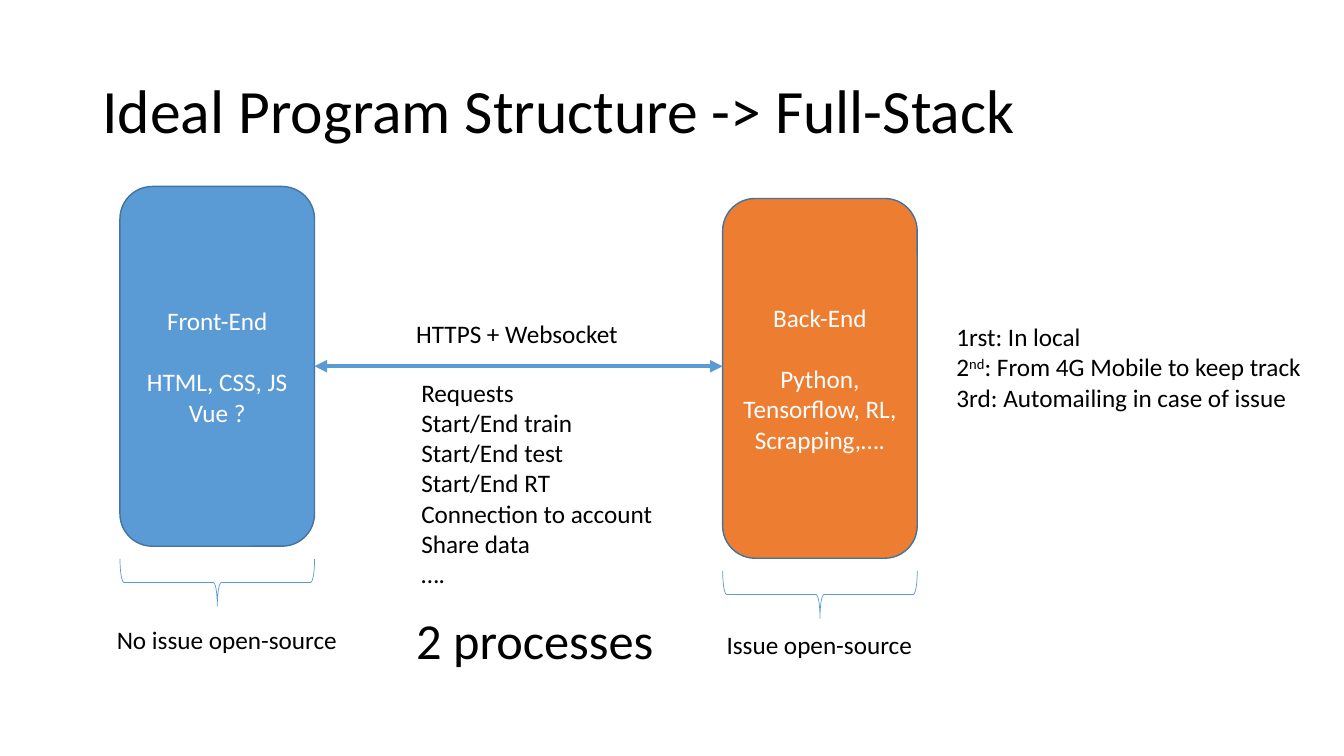
from dataclasses import dataclass

from lxml.etree import SubElement
from pptx import Presentation
from pptx.dml.color import RGBColor
from pptx.enum.shapes import MSO_CONNECTOR as Connector, MSO_SHAPE as Shape
from pptx.enum.text import MSO_ANCHOR as Anchor, MSO_AUTO_SIZE as AutoSize, PP_ALIGN as Align
from pptx.oxml.ns import qn
from pptx.util import Pt


@dataclass(frozen=True)
class Theme:
    font: str = "Calibri"
    title: int = 44
    callout: int = 36
    body: int = 18
    ink: RGBColor = RGBColor(0, 0, 0)
    white: RGBColor = RGBColor(255, 255, 255)
    blue: RGBColor = RGBColor(0x5B, 0x9B, 0xD5)
    orange: RGBColor = RGBColor(0xED, 0x7D, 0x31)
    outline: RGBColor = RGBColor(0x43, 0x73, 0x9E)


THEME = Theme()
TIER_WIDTH, TIER_HEIGHT = 139, 257
BRACE_GAP, BRACE_DEPTH = 9, 33.8
FRONT_LEFT, FRONT_TOP = 85.7, 133.2
BACK_LEFT, BACK_TOP = 516.2, 141.8


def style(para, size, color, align=Align.LEFT):
    para.alignment = align
    para.font.name = THEME.font
    para.font.size = Pt(size)
    para.font.color.rgb = color


def write_lines(frame, lines, size, color, align=Align.LEFT):
    """Write one paragraph per line; a line may be a list of (text, raised) spans."""
    for index, line in enumerate(lines):
        para = frame.paragraphs[0] if index == 0 else frame.add_paragraph()
        style(para, size, color, align)
        for text, raised in [(line, False)] if isinstance(line, str) else line:
            span = para.add_run()
            span.text = text
            if raised:
                span.font._element.set("baseline", "30000")


def set_title(page, text):
    title = page.shapes.title
    title.left, title.top, title.width, title.height = Pt(66), Pt(28.8), Pt(828), Pt(104.4)
    frame = title.text_frame
    frame.auto_size = AutoSize.NONE
    frame.vertical_anchor = Anchor.MIDDLE
    write_lines(frame, [text], THEME.title, THEME.ink)
    frame.paragraphs[0].line_spacing = 0.9


def add_label(page, left, top, width, height, lines, size=THEME.body):
    box = page.shapes.add_textbox(Pt(left), Pt(top), Pt(width), Pt(height))
    frame = box.text_frame
    frame.word_wrap = False
    frame.auto_size = AutoSize.SHAPE_TO_FIT_TEXT
    write_lines(frame, lines, size, THEME.ink)


def add_tier(page, left, top, fill, lines):
    """Rounded box for one tier, with a brace pointing down beneath it."""
    box = page.shapes.add_shape(
        Shape.ROUNDED_RECTANGLE, Pt(left), Pt(top), Pt(TIER_WIDTH), Pt(TIER_HEIGHT))
    box.shadow.inherit = False
    box.fill.solid()
    box.fill.fore_color.rgb = fill
    box.line.color.rgb = THEME.outline
    box.line.width = Pt(1)
    frame = box.text_frame
    frame.word_wrap = True
    frame.vertical_anchor = Anchor.MIDDLE
    write_lines(frame, lines, THEME.body, THEME.white, Align.CENTER)
    frame.paragraphs[0].space_after = Pt(22)

    # The brace is placed upright around its centre, then turned
    center_x = left + TIER_WIDTH / 2
    center_y = top + TIER_HEIGHT + BRACE_GAP + BRACE_DEPTH / 2
    brace = page.shapes.add_shape(
        Shape.RIGHT_BRACE, Pt(center_x - BRACE_DEPTH / 2), Pt(center_y - TIER_WIDTH / 2),
        Pt(BRACE_DEPTH), Pt(TIER_WIDTH))
    brace.rotation = 90
    brace.shadow.inherit = False
    brace.fill.background()
    brace.line.color.rgb = THEME.blue
    brace.line.width = Pt(0.5)


def add_two_way_arrow(page, start_x, end_x, y):
    arrow = page.shapes.add_connector(
        Connector.STRAIGHT, Pt(start_x), Pt(y), Pt(end_x), Pt(y))
    arrow.line.color.rgb = THEME.blue
    arrow.line.width = Pt(3)
    line = arrow.line._get_or_add_ln()
    for end in ("a:headEnd", "a:tailEnd"):
        SubElement(line, qn(end), type="triangle")
    SubElement(arrow._element.spPr, qn("a:effectLst"))


def main():
    deck = Presentation()
    deck.slide_width, deck.slide_height = Pt(960), Pt(540)
    page = deck.slides.add_slide(deck.slide_layouts[5])
    set_title(page, "Ideal Program Structure -> Full-Stack")

    # The two tiers and what can be open-sourced
    add_tier(page, FRONT_LEFT, FRONT_TOP, THEME.blue,
             ["Front-End", "HTML, CSS, JS", "Vue ?"])
    add_label(page, 76.3, 442.1, 173.5, 29, ["No issue open-source"])
    add_tier(page, BACK_LEFT, BACK_TOP, THEME.orange,
             ["Back-End", "Python, Tensorflow, RL,", "Scrapping,…."])
    add_label(page, 511.9, 445.7, 148.3, 29, ["Issue open-source"])

    # Traffic between the tiers
    add_two_way_arrow(page, FRONT_LEFT + TIER_WIDTH, BACK_LEFT, 261.6)
    add_label(page, 290.2, 223.9, 159.8, 29, ["HTTPS + Websocket"])
    add_label(page, 293.8, 265.7, 181.4, 160, [
        "Requests", "Start/End train", "Start/End test", "Start/End RT",
        "Connection to account", "Share data", "…."])
    add_label(page, 290.2, 431.3, 185.8, 51, ["2 processes"], THEME.callout)

    # Rollout steps
    add_label(page, 676.1, 226.1, 265, 72.7, [
        "1rst: In local",
        [("2", False), ("nd", True), (": From 4G Mobile to keep track", False)],
        "3rd: Automailing in case of issue"])

    deck.save("out.pptx")


main()
